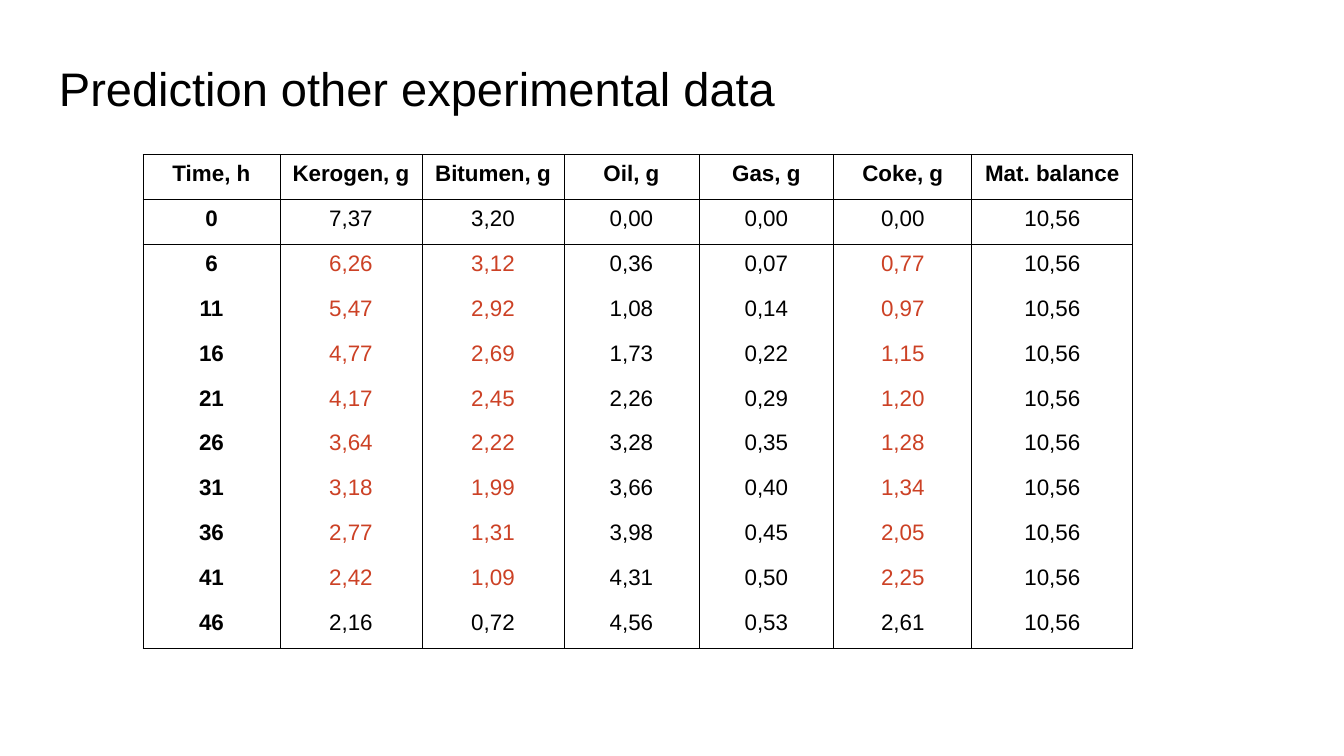
import pptx
import pptx.dml.color
import pptx.enum.text
import pptx.util
from lxml import etree
from pptx.oxml.ns import qn

Pt = pptx.util.Pt
Align = pptx.enum.text.PP_ALIGN
Anchor = pptx.enum.text.MSO_ANCHOR

HEADS = ["Time, h", "Kerogen, g", "Bitumen, g", "Oil, g", "Gas, g", "Coke, g", "Mat. balance"]
DATA = """
0 7,37 3,20 0,00 0,00 0,00 10,56
6 6,26 3,12 0,36 0,07 0,77 10,56
11 5,47 2,92 1,08 0,14 0,97 10,56
16 4,77 2,69 1,73 0,22 1,15 10,56
21 4,17 2,45 2,26 0,29 1,20 10,56
26 3,64 2,22 3,28 0,35 1,28 10,56
31 3,18 1,99 3,66 0,40 1,34 10,56
36 2,77 1,31 3,98 0,45 2,05 10,56
41 2,42 1,09 4,31 0,50 2,25 10,56
46 2,16 0,72 4,56 0,53 2,61 10,56
"""
WIDTHS = [73.4, 76.1, 76.1, 72.3, 72.3, 73.9, 86.3]
FITTED = {1, 2, 5}


def paint(code):
    return pptx.dml.color.RGBColor.from_string(code)


class Deck:
    face = "Arial"
    ink = "000000"
    red = "CC4125"
    edge = 0.5

    def __init__(self, wide, high):
        self.show = pptx.Presentation()
        self.show.slide_width = Pt(wide)
        self.show.slide_height = Pt(high)
        self.slide = self.show.slides.add_slide(self.show.slide_layouts[6])

    def style(self, para, size, color, bold=False):
        font = para.font
        font.name = self.face
        font.size = Pt(size)
        font.bold = bold
        font.color.rgb = paint(color)

    def title(self, text, left, top, wide, high):
        box = self.slide.shapes.add_textbox(Pt(left), Pt(top), Pt(wide), Pt(high))
        frame = box.text_frame
        frame.word_wrap = True
        frame.vertical_anchor = Anchor.BOTTOM
        frame.margin_left = frame.margin_right = frame.margin_top = Pt(7.2)
        frame.margin_bottom = Pt(6.5)
        frame.text = text
        self.style(frame.paragraphs[0], 25.2, self.ink)

    def border(self, cell, sides):
        props = cell._tc.get_or_add_tcPr()
        for side in "LRTB":
            line = etree.SubElement(props, qn("a:ln" + side), w=str(int(Pt(self.edge))))
            if side in sides:
                fill = etree.SubElement(line, qn("a:solidFill"))
                etree.SubElement(fill, qn("a:srgbClr"), val=self.ink)
            else:
                etree.SubElement(line, qn("a:noFill"))

    def cell(self, cell, text, color, bold, sides):
        self.border(cell, sides)
        cell.fill.background()
        cell.vertical_anchor = Anchor.BOTTOM
        cell.margin_left = cell.margin_right = cell.margin_top = Pt(0.5)
        cell.margin_bottom = Pt(7)
        cell.text = text
        para = cell.text_frame.paragraphs[0]
        para.alignment = Align.CENTER
        para.line_spacing = 1.15
        self.style(para, 12, color, bold)

    def table(self, rows, left, top, widths, high):
        last = len(rows) - 1
        frame = self.slide.shapes.add_table(
            len(rows), len(widths), Pt(left), Pt(top), Pt(sum(widths)), Pt(high * len(rows)))
        grid = frame.table
        grid.first_row = grid.horz_banding = False
        for col, wide in zip(grid.columns, widths):
            col.width = Pt(wide)
        for r, row in enumerate(rows):
            grid.rows[r].height = Pt(high)
            sides = "LR" + ("T" if r <= 2 else "") + ("B" if r <= 1 or r == last else "")
            for c, text in enumerate(row):
                color = self.red if c in FITTED and 2 <= r < last else self.ink
                self.cell(grid.cell(r, c), text, color, r == 0 or c == 0, sides)


def main():
    deck = Deck(720, 405)
    deck.title("Prediction other experimental data", 24.5, 23, 671, 45.4)
    rows = [HEADS] + [line.split() for line in DATA.strip().splitlines()]
    deck.table(rows, 76.6, 82.8, WIDTHS, 23.38)
    deck.show.save("out.pptx")


if __name__ == "__main__":
    main()
